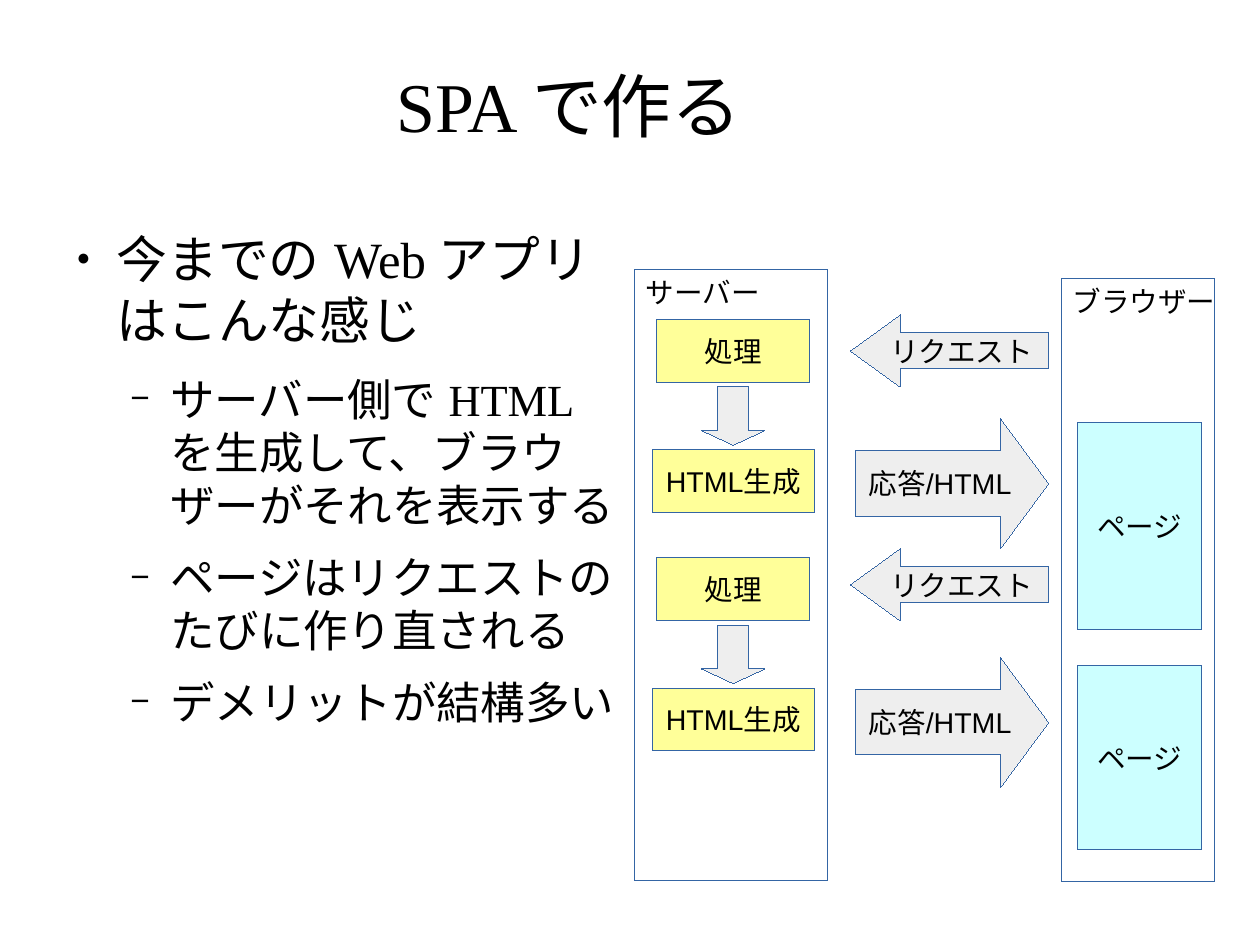
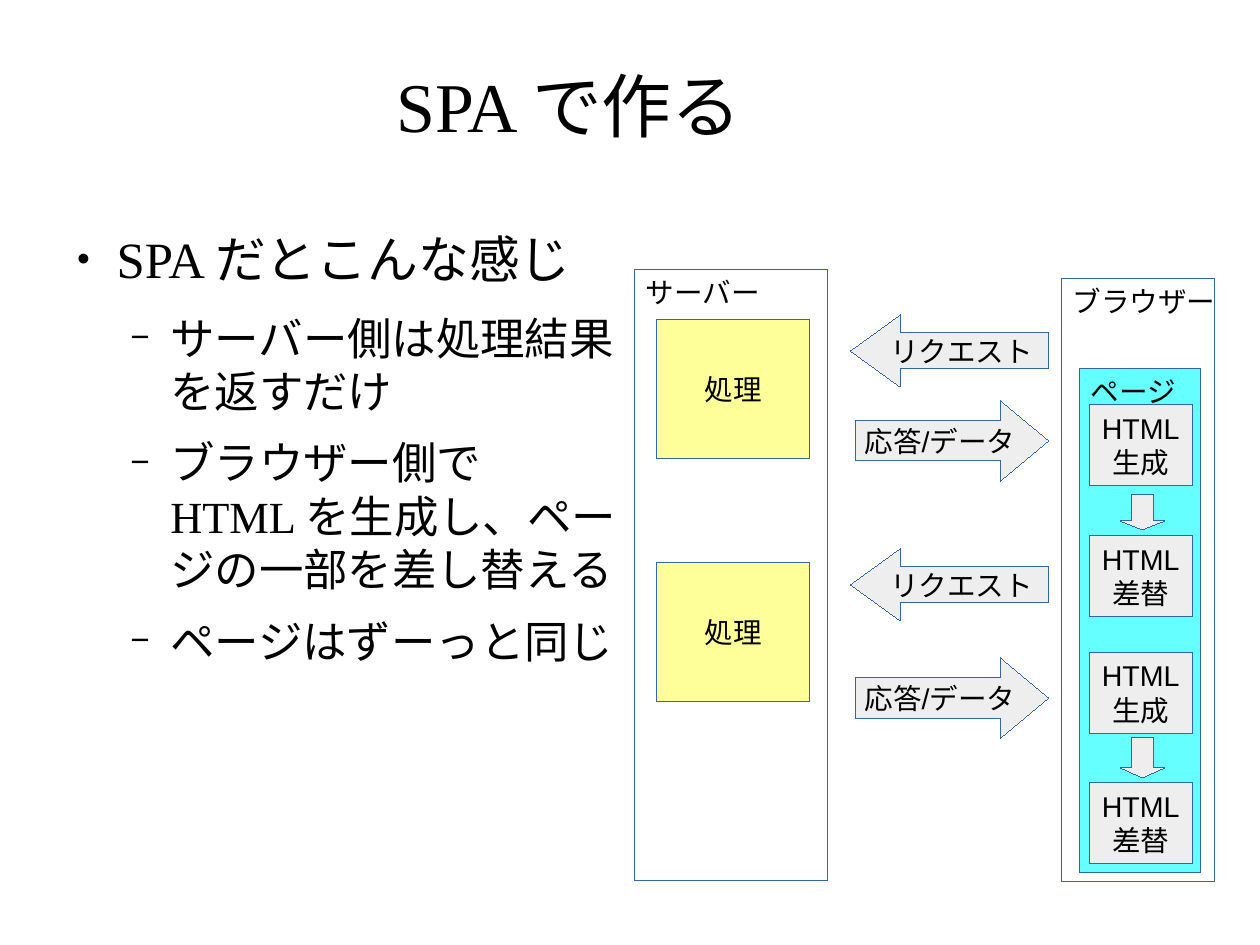
from dataclasses import dataclass

from lxml import etree
from pptx import Presentation
from pptx.dml.color import RGBColor
from pptx.enum.shapes import MSO_SHAPE
from pptx.enum.text import MSO_ANCHOR, MSO_AUTO_SIZE, PP_ALIGN
from pptx.oxml.ns import qn
from pptx.util import Cm, Inches, Pt

RECTANGLE = MSO_SHAPE.RECTANGLE
LEFT_ARROW, RIGHT_ARROW = MSO_SHAPE.LEFT_ARROW, MSO_SHAPE.RIGHT_ARROW
DOWN_ARROW = MSO_SHAPE.DOWN_ARROW
TOP, MIDDLE = MSO_ANCHOR.TOP, MSO_ANCHOR.MIDDLE
LEFT, CENTER = PP_ALIGN.LEFT, PP_ALIGN.CENTER
NO_AUTOFIT = MSO_AUTO_SIZE.NONE

COLORS = {
    "text": "000000", "outline": "3465A4", "panel": "FFFFFF", "arrow": "EEEEEE",
    "process": "FFFF99", "page": "CCFFFF", "live page": "66FFFF",
}
HEADING_FONT, LABEL_FONT = "Times New Roman", "Arial"
TITLE_ONLY_LAYOUT = 5
SLIDE_WIDTH, SLIDE_HEIGHT = Cm(28), Cm(21)

# The grid has square cells; all lengths below are counted in cells.
CELL = Inches(0.1)
TITLE_AREA = (5.5, 3.1, 88.6, 12.1)
BODY_AREA = (5.5, 19.9, 48.4, 47.9)


@dataclass(frozen=True)
class Block:
    """A kind of diagram shape, with its column and its look."""
    left: float
    width: float
    fill: str
    text: str = ""
    preset: MSO_SHAPE = RECTANGLE
    head: float = 0
    heading: bool = False


@dataclass(frozen=True)
class Stack:
    """Blocks of one kind in one column, each at (top row, height)."""
    block: Block
    spans: tuple[tuple[float, float], ...]


@dataclass(frozen=True)
class BulletLevel:
    size: int
    indent: float
    space_after: float
    character: str
    percent: int


@dataclass(frozen=True)
class SlideContent:
    lead: str
    points: tuple[str, ...]
    stacks: tuple[Stack, ...]


BULLETS = (BulletLevel(32, 4.7, 14.1, "●", 45), BulletLevel(28, 9.4, 11.3, "−", 75))
HANGING = 3.5


def repeat(block: Block, first: float, pitch: float, height: float) -> Stack:
    """Place a block once for each of the two request rounds."""
    return Stack(block, tuple((first + turn * pitch, height) for turn in range(2)))


def response(text: str, head: float) -> Block:
    return Block(74.85, 16.9, "arrow", text, RIGHT_ARROW, head)


BROWSER = Block(92.85, 13.4, "panel", "ブラウザー", heading=True)
SERVER = Block(55.5, 16.9, "panel", "サーバー", heading=True)
REQUEST = Block(74.4, 17.3, "arrow", "リクエスト", LEFT_ARROW, 0.69)
PROCESS = Block(57.45, 13.4, "process", "処理")
SERVER_HTML = Block(57.05, 14.2, "process", "HTML生成")
SERVER_STEP = Block(61.4, 5.5, "arrow", preset=DOWN_ARROW, head=0.25)
PAGE = Block(94.3, 10.8, "page", "ページ")
LIVE_PAGE = Block(94.45, 10.6, "live page", "ページ", heading=True)
BROWSER_HTML = Block(95.3, 9, "arrow", "HTML\n生成")
BROWSER_SWAP = Block(95.3, 9, "arrow", "HTML\n差替")
BROWSER_STEP = Block(98, 3.9, "arrow", preset=DOWN_ARROW, head=0.25)

TITLE = "SPA で作る"
SHARED_STACKS = (
    Stack(BROWSER, ((24.35, 52.8),)),
    Stack(SERVER, ((23.55, 53.5),)),
    repeat(REQUEST, 27.55, 20.45, 6.3),
)
SLIDES = (
    SlideContent(
        "今までの Web アプリはこんな感じ",
        (
            "サーバー側で HTML を生成して、ブラウザーがそれを表示する",
            "ページはリクエストのたびに作り直される",
            "デメリットが結構多い",
        ),
        (
            repeat(response("応答/HTML", 0.37), 36.6, 20.9, 11.4),
            Stack(PAGE, ((36.95, 18.1), (58.25, 16.1))),
            repeat(PROCESS, 27.95, 20.8, 5.5),
            repeat(SERVER_HTML, 39.35, 20.85, 5.5),
            repeat(SERVER_STEP, 33.85, 20.85, 5.1),
        ),
    ),
    SlideContent(
        "SPA だとこんな感じ",
        (
            "サーバー側は処理結果を返すだけ",
            "ブラウザー側で HTML を生成し、ページの一部を差し替える",
            "ページはずーっと同じ",
        ),
        (
            repeat(response("応答/データ", 0.6), 35, 22.5, 7.1),
            repeat(PROCESS, 27.95, 21.25, 12.2),
            Stack(LIVE_PAGE, ((32.25, 44.1),)),
            repeat(BROWSER_HTML, 35.4, 21.65, 7.1),
            repeat(BROWSER_SWAP, 46.85, 21.6, 7.1),
            Stack(BROWSER_STEP, ((43.25, 3.1), (64.55, 3.5))),
        ),
    ),
)


def cells(*counts: float) -> list[int]:
    return [round(count * CELL) for count in counts]


def color(name: str) -> RGBColor:
    return RGBColor.from_string(COLORS[name])


def format_runs(paragraph, font_name: str, size: int) -> None:
    """Latin letters take the named font, Japanese ones the label font."""
    for run in paragraph.runs:
        run.font.size = Pt(size)
        run.font.color.rgb = color("text")
        run.font.name = font_name
        east_asian = etree.SubElement(run.font._element, qn("a:ea"))
        east_asian.set("typeface", LABEL_FONT)


def set_frame(text_frame, anchor: MSO_ANCHOR, wrap: bool,
              insets: tuple[float, float] = (0, 0)) -> None:
    text_frame.auto_size = NO_AUTOFIT
    text_frame.word_wrap = wrap
    text_frame.vertical_anchor = anchor
    horizontal, vertical = cells(*insets)
    text_frame.margin_left = text_frame.margin_right = horizontal
    text_frame.margin_top = text_frame.margin_bottom = vertical


def add_title(slide, text: str) -> None:
    title = slide.shapes.title
    title.left, title.top, title.width, title.height = cells(*TITLE_AREA)
    set_frame(title.text_frame, MIDDLE, True)
    title.text_frame.text = text
    paragraph = title.text_frame.paragraphs[0]
    paragraph.alignment = CENTER
    format_runs(paragraph, HEADING_FONT, 44)


def set_bullet(paragraph, bullet: BulletLevel) -> None:
    paragraph.space_after = Pt(bullet.space_after)
    properties = paragraph._p.get_or_add_pPr()
    indent, hanging = cells(bullet.indent, HANGING)
    properties.set("marL", str(indent))
    properties.set("indent", str(-hanging))
    bullet_color = etree.SubElement(properties, qn("a:buClr"))
    etree.SubElement(bullet_color, qn("a:srgbClr")).set("val", COLORS["text"])
    etree.SubElement(properties, qn("a:buSzPct")).set("val", str(bullet.percent * 1000))
    etree.SubElement(properties, qn("a:buFont")).set("typeface", LABEL_FONT)
    etree.SubElement(properties, qn("a:buChar")).set("char", bullet.character)


def add_body(slide, lead: str, points: tuple[str, ...]) -> None:
    text_frame = slide.shapes.add_textbox(*cells(*BODY_AREA)).text_frame
    set_frame(text_frame, TOP, True)
    text_frame.text = "\n".join((lead, *points))
    for index, paragraph in enumerate(text_frame.paragraphs):
        paragraph.level = min(index, 1)
        bullet = BULLETS[paragraph.level]
        set_bullet(paragraph, bullet)
        format_runs(paragraph, HEADING_FONT, bullet.size)


def set_hairline(shape) -> None:
    shape.line.color.rgb = color("outline")
    shape._element.spPr.find(qn("a:ln")).set("w", "0")


def add_block(slide, block: Block, top: float, height: float) -> None:
    shape = slide.shapes.add_shape(
        block.preset, *cells(block.left, top, block.width, height))
    shape.shadow.inherit = False
    shape.fill.solid()
    shape.fill.fore_color.rgb = color(block.fill)
    set_hairline(shape)
    if block.head:
        shape.adjustments[0] = 0.5
        shape.adjustments[1] = block.head
    if block.text:
        set_frame(shape.text_frame, TOP if block.heading else MIDDLE, False, (1, 0.5))
        paragraph = shape.text_frame.paragraphs[0]
        paragraph.text = block.text
        paragraph.alignment = LEFT if block.heading else CENTER
        format_runs(paragraph, LABEL_FONT, 18)


def add_slide(presentation, content: SlideContent) -> None:
    slide = presentation.slides.add_slide(presentation.slide_layouts[TITLE_ONLY_LAYOUT])
    add_title(slide, TITLE)
    add_body(slide, content.lead, content.points)
    for stack in SHARED_STACKS + content.stacks:
        for top, height in stack.spans:
            add_block(slide, stack.block, top, height)


def main() -> None:
    presentation = Presentation()
    presentation.slide_width = SLIDE_WIDTH
    presentation.slide_height = SLIDE_HEIGHT
    for content in SLIDES:
        add_slide(presentation, content)
    presentation.save("out.pptx")


if __name__ == "__main__":
    main()
